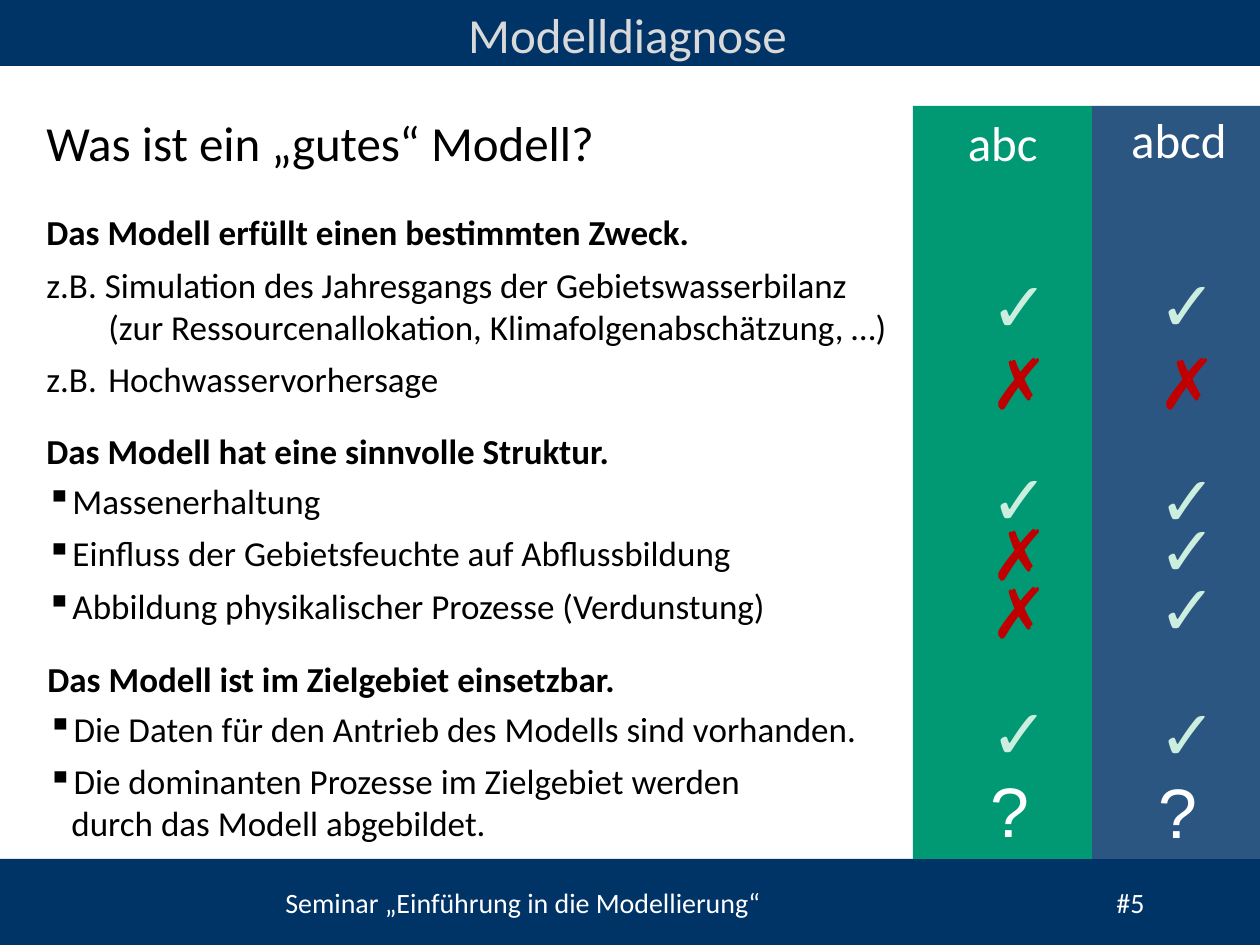
from pptx import Presentation
from pptx.dml.color import RGBColor
from pptx.enum.shapes import MSO_SHAPE as Shape
from pptx.enum.text import PP_ALIGN as Align
from pptx.oxml import parse_xml
from pptx.oxml.ns import nsdecls
from pptx.util import Pt

EMU_PER_PX = 914400 / 126
WIDTH, HEIGHT = 1260, 945
NAVY = RGBColor(0x00, 0x33, 0x66)
BLUE = RGBColor(0x2B, 0x56, 0x81)
GREEN = RGBColor(0x00, 0x99, 0x73)
WHITE = RGBColor(0xFF, 0xFF, 0xFF)
BLACK = RGBColor(0x00, 0x00, 0x00)
SILVER = RGBColor(0xD9, 0xD9, 0xD9)
MINT = RGBColor(0xCC, 0xEE, 0xDF)
RED = RGBColor(0xC0, 0x00, 0x00)

TITLE = "Modelldiagnose"
QUESTION = "Was ist ein „gutes“ Modell?"
FOOTER = "Seminar „Einführung in die Modellierung“\t#5"
FOOTER_TAB = 831
BODY_TOP, BODY_BOTTOM = 106, 859
BODY_LEFT, BODY_WIDTH = 34, 883
EXAMPLE_INDENT, BULLET_INDENT = 62, 24

# heading, heading top, list left, list top, list height, indent, bullet, items
SECTIONS = [
    ("Das Modell erfüllt einen bestimmten Zweck.", 204, 34, 257, 150, EXAMPLE_INDENT, None, [
        "z.B. Simulation des Jahresgangs der Gebietswasserbilanz \v"
        "(zur Ressourcenallokation, Klimafolgenabschätzung, …)",
        "z.B.\tHochwasservorhersage",
    ]),
    ("Das Modell hat eine sinnvolle Struktur.", 423, 34, 473, 161, BULLET_INDENT, "▪", [
        "Massenerhaltung",
        "Einfluss der Gebietsfeuchte auf Abflussbildung",
        "Abbildung physikalischer Prozesse (Verdunstung)",
    ]),
    ("Das Modell ist im Zielgebiet einsetzbar.", 651, 35, 701, 150, BULLET_INDENT, "▪", [
        "Die Daten für den Antrieb des Modells sind vorhanden.",
        "Die dominanten Prozesse im Zielgebiet werden \vdurch das Modell abgebildet.",
    ]),
]

MARK_COLORS = {"✓": MINT, "✗": RED, "?": WHITE}
# name, fill, left, width, name left, name top, mark left, marks with their tops
MODELS = [
    ("abcd", BLUE, 1091, 169, 1105, 103, 1146,
     [("✓", 255), ("✗", 333), ("✓", 450), ("✓", 500), ("✓", 559), ("✓", 684), ("?", 762)]),
    ("abc", GREEN, 913, 179, 916, 106, 978,
     [("✓", 256), ("✗", 333), ("✓", 449), ("✗", 504), ("✗", 562), ("✓", 683), ("?", 761)]),
]


def px(length):
    return round(length * EMU_PER_PX)


def add_band(slide, left, top, width, height, color):
    band = slide.shapes.add_shape(Shape.RECTANGLE, px(left), px(top), px(width), px(height))
    band.shadow.inherit = False
    band.fill.solid()
    band.fill.fore_color.rgb = color
    band.line.fill.background()


def add_text(slide, left, top, width, height, lines, size, color=BLACK,
             font="Calibri", bold=False, align=Align.LEFT, after=0):
    box = slide.shapes.add_textbox(px(left), px(top), px(width), px(height))
    frame = box.text_frame
    frame.word_wrap = True
    for index, line in enumerate(lines):
        para = frame.paragraphs[0] if index == 0 else frame.add_paragraph()
        para.text = line
        para.alignment = align
        para.space_after = Pt(after)
        para.font.name = font
        para.font.size = Pt(size)
        para.font.bold = bold
        para.font.color.rgb = color
    return frame


def insert_property(para, xml):
    """Add a bullet or tab list, ahead of the default run properties."""
    properties = para._p.get_or_add_pPr()
    properties.find("{*}defRPr").addprevious(parse_xml(xml))


def add_tab(para, position):
    insert_property(para, f'<a:tabLst {nsdecls("a")}><a:tab pos="{px(position)}" algn="l"/></a:tabLst>')


def hang(para, indent, bullet):
    """Indent all lines but the first; lead with a bullet or a tab stop."""
    properties = para._p.get_or_add_pPr()
    properties.set("marL", str(px(indent)))
    properties.set("indent", str(-px(indent)))
    if bullet:
        insert_property(para, f'<a:buChar {nsdecls("a")} char="{bullet}"/>')
    else:
        add_tab(para, indent)


def add_section(slide, heading, heading_top, left, top, height, indent, bullet, items):
    add_text(slide, left, heading_top, 834, 55, [heading], 20, bold=True, after=6)
    frame = add_text(slide, left, top, BODY_WIDTH, height, items, 20, after=6)
    for para in frame.paragraphs:
        hang(para, indent, bullet)


def add_model(slide, name, color, left, width, name_left, name_top, mark_left, marks):
    add_band(slide, left, BODY_TOP, width, BODY_BOTTOM - BODY_TOP, color)
    add_text(slide, name_left, name_top, 134, 72, [name], 28, WHITE, align=Align.RIGHT)
    for mark, top in marks:
        add_text(slide, mark_left, top, 69, 97, [mark], 40, MARK_COLORS[mark], font="Arial")


def main():
    deck = Presentation()
    deck.slide_width, deck.slide_height = px(WIDTH), px(HEIGHT)
    slide = deck.slides.add_slide(deck.slide_layouts[6])

    add_band(slide, 0, 0, WIDTH, 66, NAVY)
    add_band(slide, 0, BODY_BOTTOM, WIDTH, HEIGHT - BODY_BOTTOM, NAVY)
    footer = add_text(slide, 273, 879, 987, 47, [FOOTER], 16, WHITE)
    add_tab(footer.paragraphs[0], FOOTER_TAB)
    title = add_text(slide, 0, -2, 1255, 65, [TITLE], 28, SILVER, align=Align.CENTER)
    title.margin_left = title.margin_right = 0
    add_text(slide, BODY_LEFT, BODY_TOP, 674, 72, [QUESTION], 28)

    for model in MODELS:
        add_model(slide, *model)
    for section in SECTIONS:
        add_section(slide, *section)
    deck.save("out.pptx")


if __name__ == "__main__":
    main()
